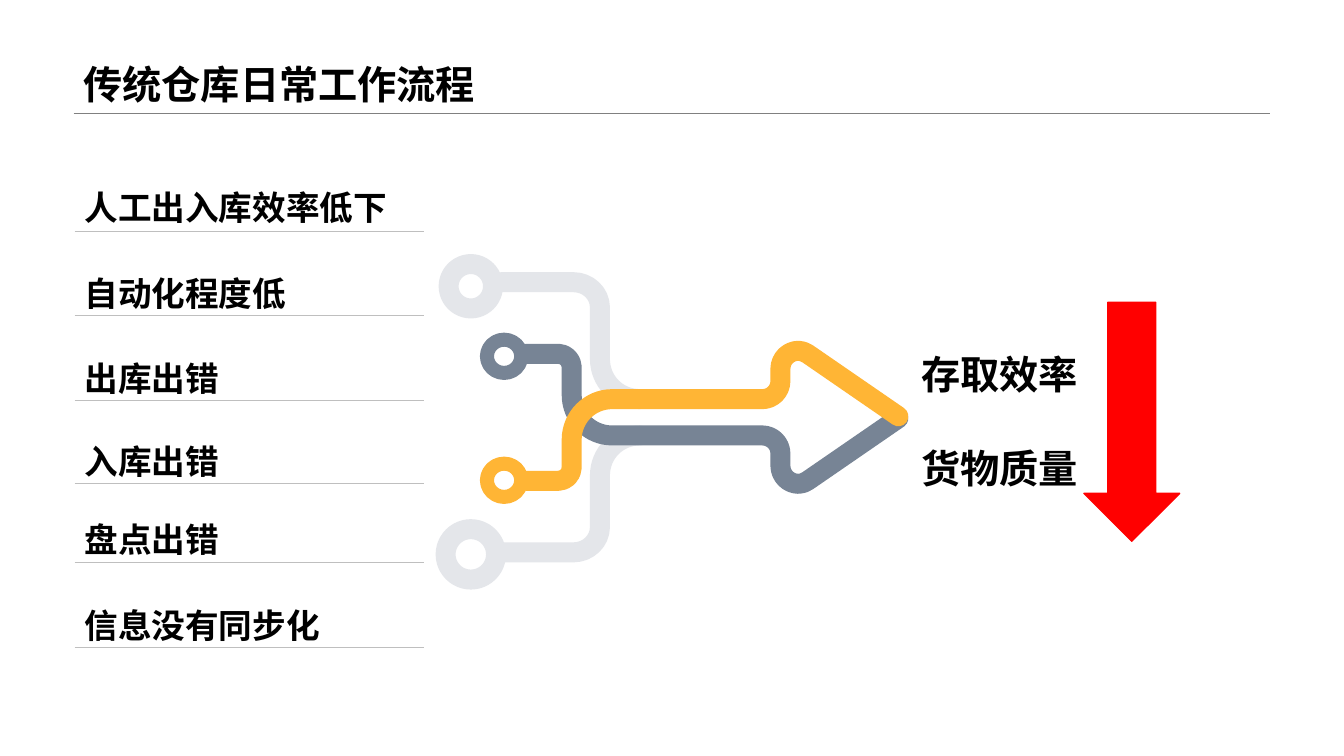
"""Slide on the daily workflow of a traditional warehouse."""
from lxml.etree import SubElement
from pptx import Presentation
from pptx.dml.color import RGBColor
from pptx.enum.shapes import MSO_CONNECTOR, MSO_SHAPE
from pptx.enum.text import MSO_ANCHOR
from pptx.oxml.ns import qn
from pptx.util import Inches, Pt

COLORS = {"text": "000000", "head": "808080", "rule": "BFBFBF", "pale": "E4E6EA",
          "slate": "778495", "gold": "FFB535", "red": "FF0000"}
COLORS = {name: RGBColor.from_string(code) for name, code in COLORS.items()}

deck = Presentation()
deck.slide_width, deck.slide_height = Inches(13.33), Inches(7.5)
slide = deck.slides.add_slide(deck.slide_layouts[6])
shapes = slide.shapes


def add_text(lines, left, top, width, height, size, anchor=MSO_ANCHOR.TOP):
    frame = shapes.add_textbox(Inches(left), Inches(top), Inches(width), Inches(height)).text_frame
    frame.word_wrap = True
    frame.margin_right = 0
    frame.vertical_anchor = anchor
    frame.text = "\n".join(lines)
    for para in frame.paragraphs:
        font = para.runs[0].font
        font.name, font.size, font.bold = "Arial", Pt(size), True
        font.color.rgb = COLORS["text"]
    return frame


def add_rule(left, right, y, color):
    rule = shapes.add_connector(MSO_CONNECTOR.STRAIGHT, Inches(left), Inches(y), Inches(right), Inches(y))
    rule.line.color.rgb = COLORS[color]
    rule.line.width = Pt(0.25)
    SubElement(rule._element.spPr, qn("a:effectLst"))


add_rule(0.73, 12.6, 1.12, "head")
title = add_text(["传统仓库日常工作流程"], 0.73, 0, 11.87, 1.12, 28, MSO_ANCHOR.BOTTOM)
title.paragraphs[0].line_spacing = 0.9

# One point makes a straight step; three make a Bézier curve.
branch = [[(4.97, 2.8)], [(5.69, 2.8)], [(5.83, 2.8), (5.95, 2.91), (5.95, 3.05)],
          [(5.95, 3.56)], [(5.95, 3.78), (6.12, 3.96), (6.35, 3.96)]]
arrow = [[(5.22, 4.77)], [(5.54, 4.77)], [(5.61, 4.77), (5.67, 4.71), (5.67, 4.64)],
         [(5.67, 4.36)], [(5.67, 4.14), (5.85, 3.96), (6.07, 3.96)],
         [(7.56, 3.96)], [(7.66, 3.96), (7.74, 3.88), (7.74, 3.78)],
         [(7.74, 3.66)], [(7.74, 3.56), (7.82, 3.48), (7.92, 3.48)],
         [(7.95, 3.48), (7.98, 3.49), (8.01, 3.51)], [(8.91, 4.13)]]
MIRROR = 8.28

for route, flip, color in [(branch, False, "pale"), (branch, True, "pale"),
                           (arrow, True, "slate"), (arrow, False, "gold")]:
    steps = [[(Inches(x), Inches(MIRROR - y if flip else y)) for x, y in step] for step in route]
    ends = [step[-1] for step in steps]
    pen = shapes.build_freeform(*ends[0], scale=1)
    pen.add_line_segments(ends[1:], close=False)
    pipe = pen.convert_to_shape()
    lines = list(pipe._element.iter(qn("a:lnTo")))
    for line, step in zip(lines, steps[1:]):
        if len(step) == 3:
            line.tag = qn("a:cubicBezTo")
            for spot, (x, y) in enumerate(step[:2]):
                point = SubElement(line, qn("a:pt"), x=str(x - pipe.left), y=str(y - pipe.top))
                line.insert(spot, point)
    pipe.shadow.inherit = False
    pipe.fill.background()
    pipe.line.color.rgb = COLORS[color]
    pipe.line.width = Pt(14.25)
    stroke = pipe.line._get_or_add_ln()
    stroke.set("cap", "rnd")
    SubElement(stroke, qn("a:round"))

for left, top, width, height, color, weight in [
        (4.42, 5.25, 0.5, 0.5, "pale", 14.25), (4.45, 2.62, 0.44, 0.44, "pale", 14.25),
        (4.83, 3.37, 0.34, 0.33, "slate", 10), (4.83, 4.6, 0.34, 0.33, "gold", 10)]:
    ring = shapes.add_shape(MSO_SHAPE.OVAL, Inches(left), Inches(top), Inches(width), Inches(height))
    ring.shadow.inherit = False
    ring.fill.background()
    ring.line.color.rgb = COLORS[color]
    ring.line.width = Pt(weight)

for label, top, y in [("人工出入库效率低下", 1.8, 2.29), ("自动化程度低", 2.66, 3.13),
                      ("出库出错", 3.5, 3.97), ("入库出错", 4.32, 4.79),
                      ("盘点出错", 5.1, 5.58), ("信息没有同步化", 5.95, 6.42)]:
    add_text([label], 0.74, top, 3.68, 0.45, 24)
    add_rule(0.74, 4.21, y, "rule")

result = add_text(["存取效率", "货物质量"], 9.04, 3.42, 1.71, 1.51, 28, MSO_ANCHOR.MIDDLE)
result.paragraphs[1].space_before = Pt(34)

drop = shapes.add_shape(MSO_SHAPE.DOWN_ARROW, Inches(10.75), Inches(3), Inches(0.95), Inches(2.37))
drop.shadow.inherit = False
drop.fill.solid()
drop.fill.fore_color.rgb = COLORS["red"]
drop.line.color.rgb = COLORS["red"]
drop.line.width = Pt(1)

deck.save("out.pptx")
